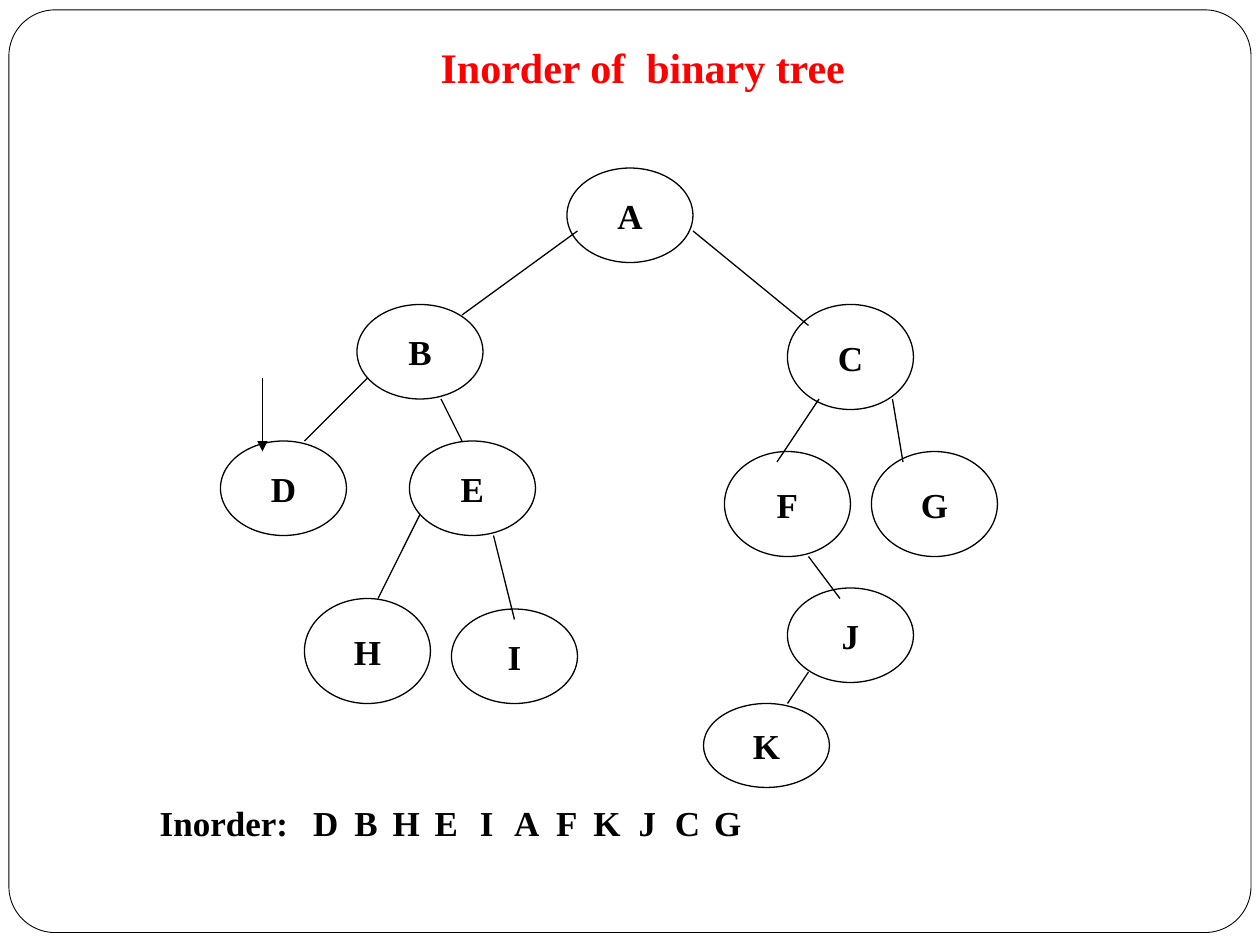
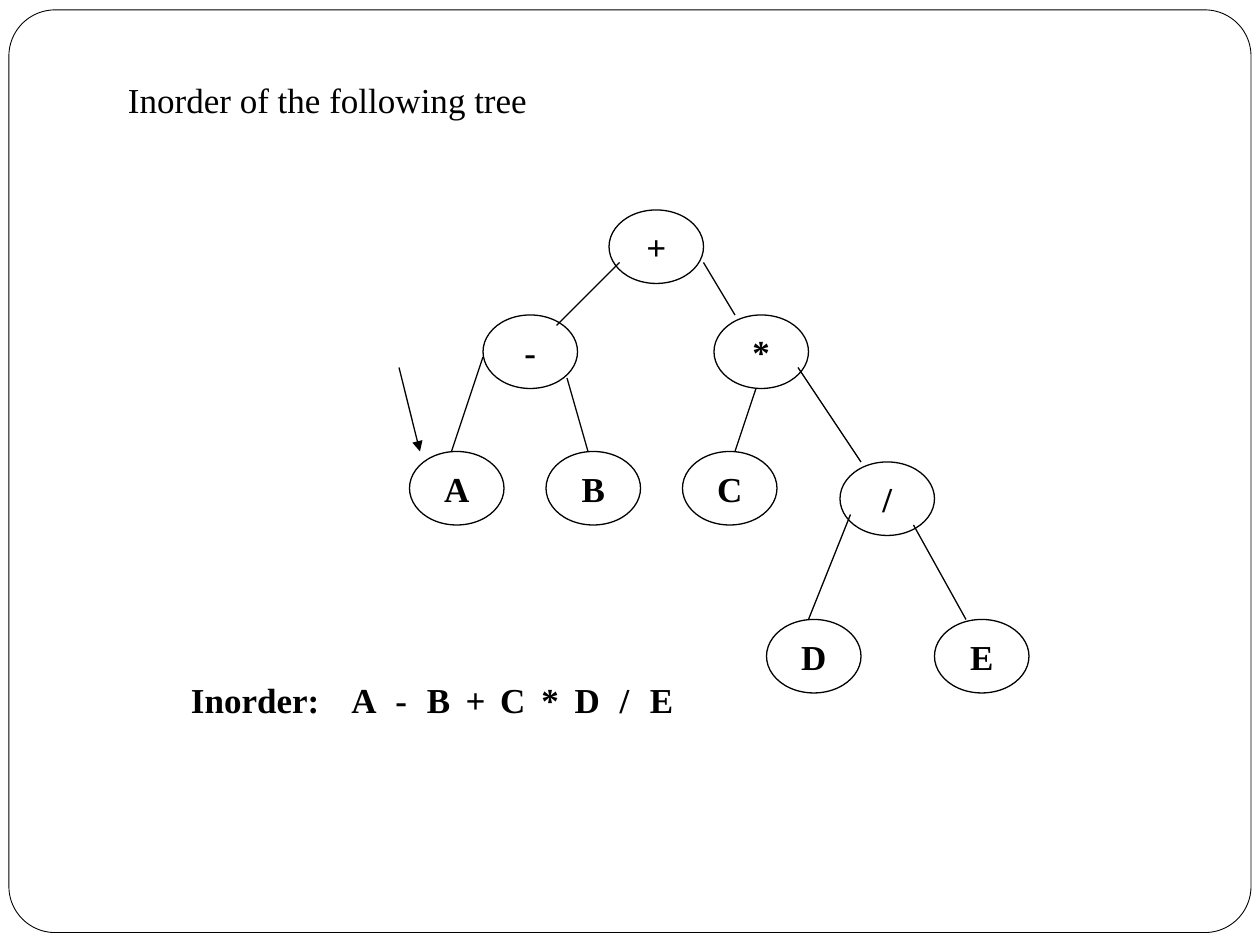
from lxml import etree
from pptx import Presentation
from pptx import util as u
from pptx.dml.color import RGBColor
from pptx.enum import shapes, text
from pptx.oxml.ns import qn

FONT = "Times New Roman"
BLACK, WHITE, RED = "000000", "FFFFFF", "FF0000"
GRID = 2.54 / 12
NODE_TEXT = {"size": u.Pt(20), "bold": True}
INSETS = {"margin_left": u.Cm(0.25), "margin_right": u.Cm(0.25),
          "margin_top": u.Cm(0.13), "margin_bottom": u.Cm(0.13)}

LETTER_NODES = {
    "A": (54, 16, 9), "B": (34, 29, 9), "C": (75, 29, 10), "D": (21, 42, 9),
    "E": (39, 42, 9), "H": (29, 57, 10), "I": (43, 58, 9), "F": (69, 43, 10),
    "G": (83, 43, 10), "J": (75, 56, 9), "K": (67, 67, 8),
}
LETTER_EDGES = [
    (55, 22, 44, 30), (66, 22, 77, 31), (35, 36, 29, 42), (42, 38, 44, 42),
    (40, 49, 36, 57), (47, 51, 49, 59), (78, 38, 74, 44), (85, 38, 86, 44),
    (77, 53, 80, 57), (77, 64, 75, 67),
]
EXPRESSION_NODES = {
    "+": (58, 20, 7), "-": (46, 30, 7), "*": (68, 30, 7), "A": (39, 43, 7),
    "B": (52, 43, 7), "C": (65, 43, 7), "/": (80, 44, 7), "D": (73, 59, 7),
    "E": (89, 59, 7),
}
EXPRESSION_EDGES = [
    (59, 25, 53, 31), (46, 34, 43, 43), (54, 36, 56, 43), (67, 25, 70, 30),
    (72, 37, 70, 43), (76, 35, 82, 44), (81, 49, 77, 59), (87, 50, 92, 59),
]


def color(hex_value):
    """Turn a hex string into a colour."""
    return RGBColor.from_string(hex_value)


def apply(target, values):
    """Set each attribute of target from a dict."""
    for name, value in values.items():
        setattr(target, name, value)


def on_grid(*steps):
    """Convert steps of a twelfth of an inch into lengths."""
    return [u.Cm(step * GRID) for step in steps]


def write(paragraph, wording, style, ink=BLACK):
    """Put styled wording into a paragraph."""
    paragraph.text = wording
    apply(paragraph.font, {"name": FONT, **style})
    paragraph.font.color.rgb = color(ink)


def outline(item, ink, width):
    """Give a shape or connector a plain line."""
    item.line.color.rgb = color(ink)
    item.line.width = u.Pt(width)


def add_framed_slide(deck):
    """Add a blank slide with the rounded border."""
    slide = deck.slides.add_slide(deck.slide_layouts[6])
    border = slide.shapes.add_shape(
        shapes.MSO_SHAPE.ROUNDED_RECTANGLE,
        u.Cm(0.18), u.Cm(0.2), u.Cm(25.04), u.Cm(18.6))
    border.adjustments[0] = 0.05
    border.shadow.inherit = False
    border.fill.background()
    outline(border, BLACK, 0.5)
    return slide


def add_title(slide, wording, box, style, align, ink=BLACK):
    """Add a heading that sits at the bottom of its box."""
    frame = slide.shapes.add_textbox(*map(u.Cm, box)).text_frame
    apply(frame, {**INSETS, "margin_bottom": u.Cm(0.25), "word_wrap": True,
                  "vertical_anchor": text.MSO_ANCHOR.BOTTOM})
    heading = frame.paragraphs[0]
    heading.alignment = align
    write(heading, wording, style, ink)


def add_node(slide, label, left, top, width, height):
    """Add one labelled tree node."""
    node = slide.shapes.add_shape(
        shapes.MSO_SHAPE.OVAL, *on_grid(left, top, width, height))
    node.shadow.inherit = False
    node.fill.solid()
    node.fill.fore_color.rgb = color(WHITE)
    outline(node, BLACK, 0.75)
    apply(node.text_frame, {**INSETS, "word_wrap": False,
                            "vertical_anchor": text.MSO_ANCHOR.MIDDLE})
    caption = node.text_frame.paragraphs[0]
    caption.alignment = text.PP_ALIGN.CENTER
    write(caption, label, NODE_TEXT)


def add_edge(slide, ends, arrow=False):
    """Add a line between two grid points, with an arrowhead if asked."""
    edge = slide.shapes.add_connector(
        shapes.MSO_CONNECTOR.STRAIGHT, *on_grid(*ends))
    outline(edge, BLACK, 0.75)
    properties = edge._element.spPr
    if arrow:
        line = properties.find(qn("a:ln"))
        etree.SubElement(line, qn("a:tailEnd"), type="triangle")
    etree.SubElement(properties, qn("a:effectLst"))


def add_tree(slide, nodes, node_width, edges, start_arrow):
    """Draw the nodes, their edges and the arrow at the first visit."""
    for label, (left, top, height) in nodes.items():
        add_node(slide, label, left, top, node_width, height)
    for ends in edges:
        add_edge(slide, ends)
    add_edge(slide, start_arrow, arrow=True)


def add_traversal(slide, visits, box, first_stop, pitch):
    """Write the visiting order on evenly spaced centred tab stops."""
    frame = slide.shapes.add_textbox(*map(u.Cm, box)).text_frame
    apply(frame, {**INSETS, "word_wrap": True})
    order = frame.paragraphs[0]
    stops = etree.SubElement(order._p.get_or_add_pPr(), qn("a:tabLst"))
    for index in range(len(visits)):
        stop = u.Cm(first_stop + index * pitch)
        etree.SubElement(stops, qn("a:tab"), pos=str(int(stop)), algn="ctr")
    write(order, "\t".join(["Inorder:", *visits]), NODE_TEXT)


def main():
    """Build both traversal slides."""
    deck = Presentation()
    apply(deck, {"slide_width": u.Cm(25.4), "slide_height": u.Cm(19.05)})

    letters = add_framed_slide(deck)
    add_title(letters, "Inorder of  binary tree", (1.53, 0.76, 22.86, 1.35),
              {"size": u.Pt(24), "bold": True}, text.PP_ALIGN.CENTER, RED)
    add_tree(letters, LETTER_NODES, 12, LETTER_EDGES, (25, 36, 25, 43))
    add_traversal(letters, "DBHEIAFKJCG", (2.97, 16.03, 12.5, 1.12), 3.35, 0.81)

    expression = add_framed_slide(deck)
    add_title(expression, "Inorder of the following tree",
              (2.33, 1.27, 9.1, 1.4), {"size": u.Pt(20), "bold": False},
              text.PP_ALIGN.LEFT)
    add_tree(expression, EXPRESSION_NODES, 9, EXPRESSION_EDGES, (38, 35, 40, 43))
    add_traversal(expression, "A-B+C*D/E", (3.6, 13.55, 10.5, 1.12), 3.49, 0.75)

    deck.save("out.pptx")


if __name__ == "__main__":
    main()
